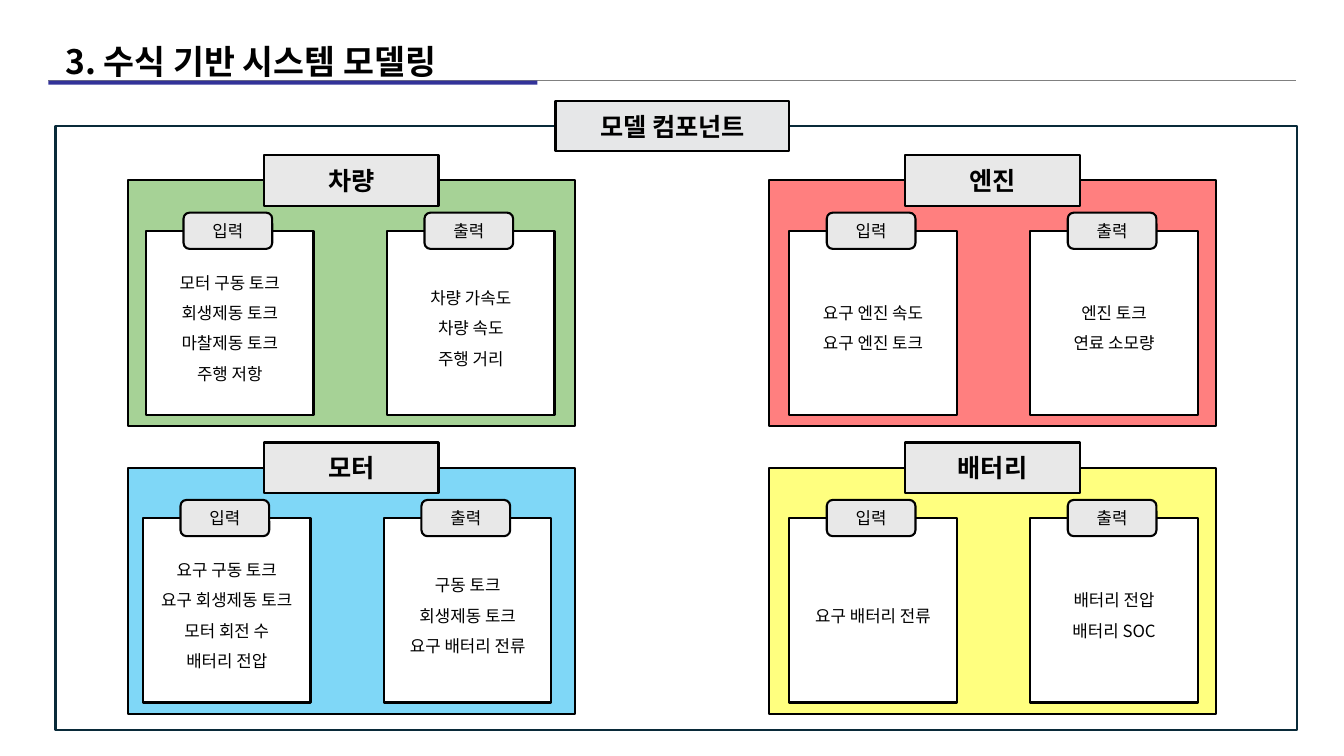
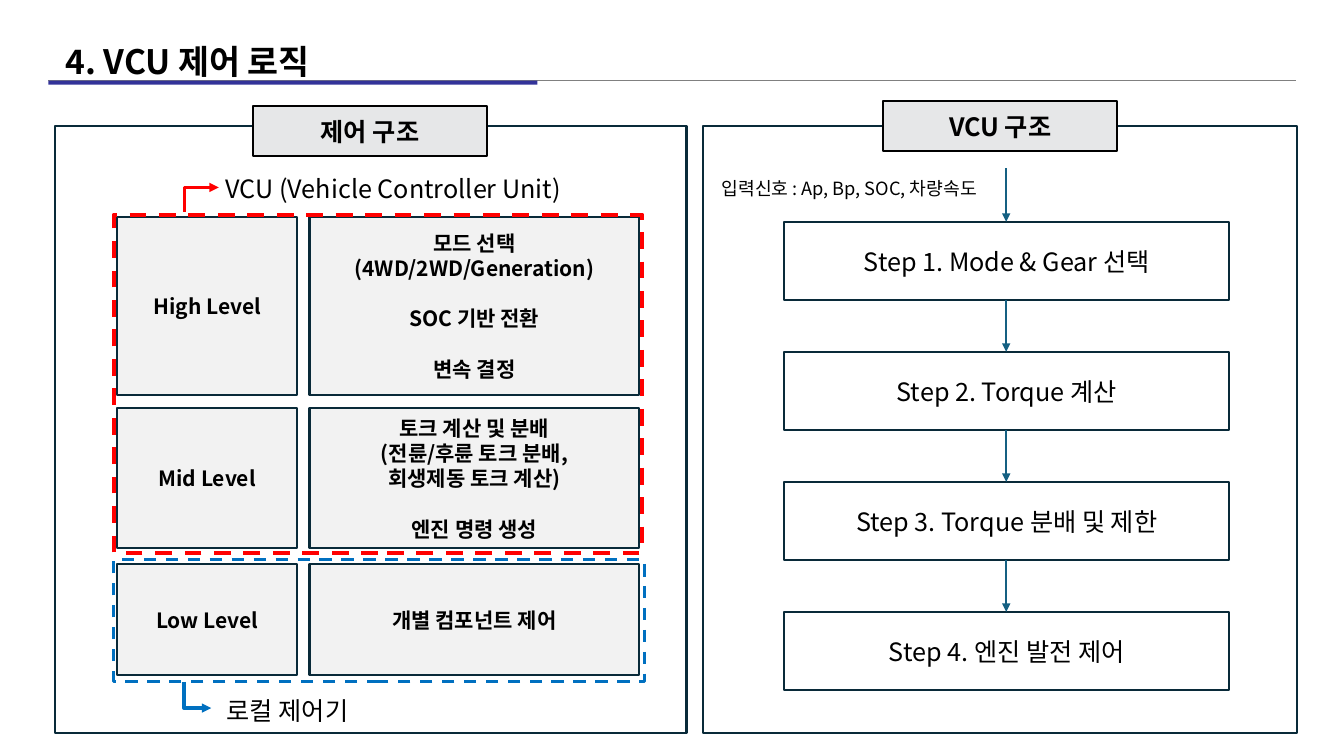
from lxml import etree
from pptx import Presentation
from pptx.dml.color import RGBColor
from pptx.enum.dml import MSO_LINE
from pptx.enum.shapes import MSO_CONNECTOR, MSO_SHAPE
from pptx.enum.text import MSO_ANCHOR, MSO_AUTO_SIZE, PP_ALIGN
from pptx.oxml.ns import qn
from pptx.util import Emu, Pt

RECT, ROUNDED = MSO_SHAPE.RECTANGLE, MSO_SHAPE.ROUNDED_RECTANGLE
STRAIGHT, ELBOW = MSO_CONNECTOR.STRAIGHT, MSO_CONNECTOR.ELBOW
DASH = MSO_LINE.DASH
LEFT, CENTER = PP_ALIGN.LEFT, PP_ALIGN.CENTER
MIDDLE, NO_FIT = MSO_ANCHOR.MIDDLE, MSO_AUTO_SIZE.NONE
color = RGBColor.from_string

PX = 9144
FONT = "Noto Sans CJK KR"
BLACK, WHITE, NAVY = "000000", "FFFFFF", "092A39"
HEADING_GRAY, TAG_GRAY, CELL_GRAY = "E6E7E8", "E8E8E8", "F2F2F2"
RULE_GRAY, ACCENT = "808080", "333399"
RED, BLUE, TEAL = "FF0000", "0070C0", "156082"


def write(frame, lines, size, bold=False, align=CENTER, spacing=None, gaps=()):
    frame.word_wrap = True
    for index, line in enumerate(lines):
        para = frame.add_paragraph() if index else frame.paragraphs[0]
        para.alignment = align
        if spacing:
            para.line_spacing = spacing
        if index in gaps:
            para.space_before = Pt(18)
        span = para.add_run()
        span.text = line
        span.font.size = Pt(size)
        span.font.bold = bold
        span.font.color.rgb = color(BLACK)
        span.font.name = FONT
        etree.SubElement(span.font._element, qn("a:ea"), typeface=FONT)


def add_box(page, bounds, fill=None, line=BLACK, width=1.5, kind=RECT):
    box = page.shapes.add_shape(kind, *[Emu(value * PX) for value in bounds])
    box.shadow.inherit = False
    if fill:
        box.fill.solid()
        box.fill.fore_color.rgb = color(fill)
    else:
        box.fill.background()
    if line:
        box.line.color.rgb = color(line)
        box.line.width = Pt(width)
    else:
        box.line.fill.background()
    box.text_frame.vertical_anchor = MIDDLE
    return box


deck = Presentation()
deck.slide_width = Emu(1333 * PX)
deck.slide_height = Emu(750 * PX)
layout = deck.slide_layouts[5]

title = layout.placeholders[0]
title.left, title.top = Emu(55 * PX), Emu(26 * PX)
title.width, title.height = Emu(1200 * PX), Emu(50 * PX)

pages = []
for heading in ("3. 수식 기반 시스템 모델링", "4. VCU 제어 로직"):
    page = deck.slides.add_slide(layout)
    frame = page.shapes.title.text_frame
    frame.vertical_anchor = MIDDLE
    frame.auto_size = NO_FIT
    write(frame, [heading], 24, True, LEFT, 1.5)
    pages.append(page)
model_page, logic_page = pages

rule = model_page.shapes.add_connector(
    STRAIGHT, Emu(48 * PX), Emu(80 * PX), Emu(1285 * PX), Emu(80 * PX)
)
rule.line.color.rgb = color(RULE_GRAY)
rule.line.width = Pt(1)
etree.SubElement(rule.element.spPr, qn("a:effectLst"))
bar = add_box(model_page, (48, 80, 485, 4), ACCENT, None)
for shared in (rule, bar):
    layout.shapes.element.append(shared.element)

sections = [
    (model_page, (55, 125, 1231, 599), (551, 100), "모델 컴포넌트"),
    (logic_page, (55, 125, 626, 602), (251, 105), "제어 구조"),
    (logic_page, (697, 125, 589, 602), (876, 100), "VCU 구조"),
]
for page, bounds, (left, top), name in sections:
    add_box(page, bounds, line=NAVY)
    box = add_box(page, (left, top, 232, 50), HEADING_GRAY)
    write(box.text_frame, [name], 18, True)

components = [
    ("차량", "4EA72E", 18,
     ["모터 구동 토크", "회생제동 토크", "마찰제동 토크", "주행 저항"],
     ["차량 가속도", "차량 속도", "주행 거리"]),
    ("엔진", "FF0000", 20,
     ["요구 엔진 속도", "요구 엔진 토크"],
     ["엔진 토크", "연료 소모량"]),
    ("모터", "00B0F0", 15,
     ["요구 구동 토크", "요구 회생제동 토크", "모터 회전 수", "배터리 전압"],
     ["구동 토크", "회생제동 토크", "요구 배터리 전류"]),
    ("배터리", "FFFF00", 20,
     ["요구 배터리 전류"],
     ["배터리 전압", "배터리 SOC"]),
]
for index, (name, fill, indent, inputs, outputs) in enumerate(components):
    left = 127 + index % 2 * 636
    top = 179 + index // 2 * 285
    panel = add_box(model_page, (left, top, 443, 244), fill)
    fill_color = panel.element.spPr.find(qn("a:solidFill"))[0]
    etree.SubElement(fill_color, qn("a:alpha"), val="50000")
    box = add_box(model_page, (left + 135, top - 25, 173, 50), TAG_GRAY)
    write(box.text_frame, [name], 18, True)
    for column, (label, signals) in enumerate((("입력", inputs), ("출력", outputs))):
        card_left = left + indent + column * 239
        card = add_box(model_page, (card_left, top + 50, 166, 183), WHITE)
        write(card.text_frame, signals, 12, spacing=1.5)
        tag = add_box(model_page, (card_left + 37, top + 32, 88, 36), TAG_GRAY, kind=ROUNDED)
        write(tag.text_frame, [label], 12)

levels = [
    ("High Level", 215, 177,
     ["모드 선택", "(4WD/2WD/Generation)", "SOC 기반 전환", "변속 결정"], (2, 3)),
    ("Mid Level", 405, 139,
     ["토크 계산 및 분배", "(전륜/후륜 토크 분배,", "회생제동 토크 계산)", "엔진 명령 생성"], (3,)),
    ("Low Level", 560, 110, ["개별 컴포넌트 제어"], ()),
]
for name, top, height, duties, gaps in levels:
    box = add_box(logic_page, (116, top, 179, height), CELL_GRAY, NAVY)
    write(box.text_frame, [name], 15, True)
    box = add_box(logic_page, (307, top, 327, height), CELL_GRAY, NAVY)
    write(box.text_frame, duties, 15, True, gaps=gaps)

for bounds, line, width in (
    ((113, 213, 524, 336), RED, 3),
    ((113, 555, 526, 121), BLUE, 2.25),
):
    box = add_box(logic_page, bounds, line=line, width=width)
    box.line.dash_style = DASH

arrows = [
    (ELBOW, (212, 215, 188, 181), RED, 2.25, 90),
    (ELBOW, (209, 676, 183, 703), BLUE, 2.25, 270),
    (STRAIGHT, (998, 167, 998, 220), TEAL, 1.5, 0),
]
steps = [
    "Step 1. Mode & Gear 선택",
    "Step 2. Torque 계산",
    "Step 3. Torque 분배 및 제한",
    "Step 4. 엔진 발전 제어",
]
for index, step in enumerate(steps):
    top = 220 + index * 129
    box = add_box(logic_page, (778, top, 441, 78), WHITE, NAVY)
    write(box.text_frame, [step], 18)
    if index:
        arrows.append((STRAIGHT, (998, top - 51, 998, top), TEAL, 1.5, 0))

for kind, ends, line, width, angle in arrows:
    arrow = logic_page.shapes.add_connector(kind, *[Emu(value * PX) for value in ends])
    arrow.line.color.rgb = color(line)
    arrow.line.width = Pt(width)
    properties = arrow.element.spPr
    etree.SubElement(properties.find(qn("a:ln")), qn("a:tailEnd"), type="triangle")
    etree.SubElement(properties, qn("a:effectLst"))
    if kind == ELBOW:
        properties.find(qn("a:prstGeom")).set("prst", "bentConnector2")
        properties.find(qn("a:xfrm")).set("rot", str(angle * 60000))

captions = [
    ((214, 167, 418, 40), "VCU (Vehicle Controller Unit)", 18),
    ((215, 685, 203, 40), "로컬 제어기", 18),
    ((706, 171, 341, 32), "입력신호 : Ap, Bp, SOC, 차량속도", 13),
]
for bounds, caption, size in captions:
    box = logic_page.shapes.add_textbox(*[Emu(value * PX) for value in bounds])
    write(box.text_frame, [caption], size, align=LEFT)

deck.save("out.pptx")
